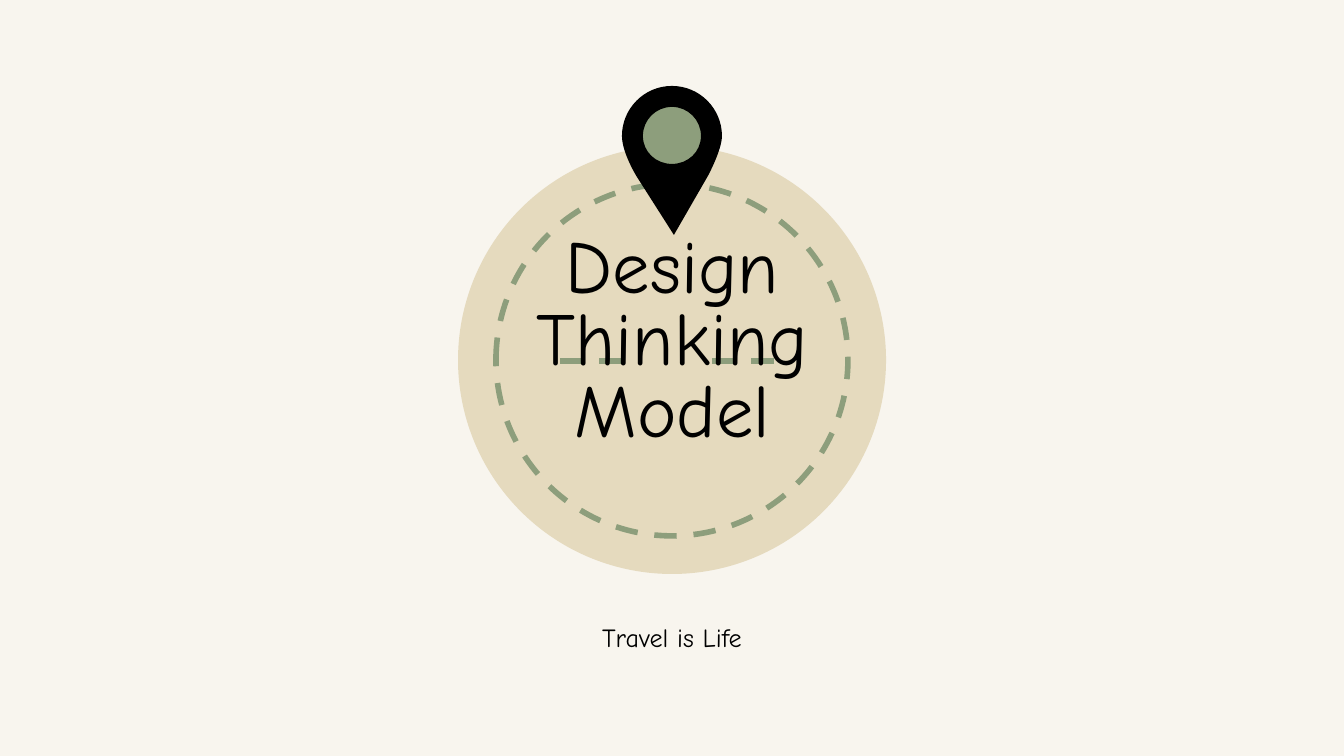
from lxml import etree
from pptx import Presentation
from pptx import util as u
from pptx.dml import color
from pptx.enum import dml, shapes, text
from pptx.oxml import ns

PX = 914400 / 134.4
SAND, SAGE, BLACK = "E5DABE", "8D9E7C", "000000"


def px(*lengths):
    return [u.Emu(round(length * PX)) for length in lengths]


def paint(fill, colour):
    fill.solid()
    fill.fore_color.rgb = color.RGBColor.from_string(colour)


deck = Presentation()
deck.slide_width, deck.slide_height = px(1344, 756)
page = deck.slides.add_slide(deck.slide_layouts[6])

backdrop = page.shapes.add_shape(shapes.MSO_SHAPE.RECTANGLE, *px(0, 0, 1344, 756))
backdrop.shadow.inherit = False
paint(backdrop.fill, SAND)
backdrop.line.fill.background()
tint = backdrop.fill._xPr.find(".//" + ns.qn("a:srgbClr"))
etree.SubElement(tint, ns.qn("a:alpha"), val="26000")

dashed = []
for left, top, size, colour in [(458, 146, 428, SAND), (496, 184, 352, None), (640, 103, 63, SAGE)]:
    circle = page.shapes.add_shape(shapes.MSO_SHAPE.OVAL, *px(left, top, size, size))
    circle.shadow.inherit = False
    if colour:
        paint(circle.fill, colour)
        circle.line.fill.background()
    else:
        circle.fill.background()
        dashed.append(circle)

for left in (560, 712):
    dash = page.shapes.add_connector(shapes.MSO_CONNECTOR.STRAIGHT, *px(left, 361, left + 72, 361))
    etree.SubElement(dash._element.spPr, ns.qn("a:effectLst"))
    dashed.append(dash)

for outline in dashed:
    paint(outline.line.fill, SAGE)
    outline.line.width = u.Pt(3)
    outline.line.dash_style = dml.MSO_LINE.DASH

hole = [
    [(672, 107)],
    [(656, 107), (643, 120), (643, 136)],
    [(643, 152), (656, 164), (672, 164)],
    [(688, 164), (701, 152), (701, 136)],
    [(701, 120), (688, 107), (672, 107)],
]
rim = [
    [(672, 86)],
    [(700, 86), (722, 109), (722, 136)],
    [(722, 150), (708, 176), (708, 176)],
    [(674, 235)],
    [(637, 177)],
    [(637, 177), (622, 153), (622, 136)],
    [(622, 109), (644, 86), (672, 86)],
]
contours = [[px(*point) for segment in contour for point in segment] for contour in (hole, rim)]
builder = page.shapes.build_freeform(*contours[0][0])
builder.add_line_segments(contours[0][1:], close=True)
builder.move_to(*contours[1][0])
builder.add_line_segments(contours[1][1:], close=True)
pin = builder.convert_to_shape()
pin.shadow.inherit = False
paint(pin.fill, BLACK)
pin.line.fill.background()

steps = iter(pin._element.findall(".//" + ns.qn("a:lnTo")))
for segment in hole[1:] + rim[1:]:
    moves = [next(steps) for point in segment]
    if len(moves) == 3:
        curve = etree.Element(ns.qn("a:cubicBezTo"))
        moves[0].addprevious(curve)
        for move in moves:
            curve.append(move[0])
            move.getparent().remove(move)

for wording, place, size, anchor, spacing in [
    ("Design Thinking Model", (520, 227, 305, 238), 40, text.MSO_ANCHOR.BOTTOM, 0.8),
    ("Travel is Life", (522, 608, 300, 87), 14, text.MSO_ANCHOR.TOP, 1.0),
]:
    box = page.shapes.add_textbox(*px(*place))
    frame = box.text_frame
    frame.word_wrap = True
    frame.vertical_anchor = anchor
    frame.margin_left = frame.margin_right = frame.margin_top = frame.margin_bottom = u.Inches(0.1)
    para = frame.paragraphs[0]
    para.text = wording
    para.alignment = text.PP_ALIGN.CENTER
    para.line_spacing = spacing
    para.font.name = "Comic Neue"
    para.font.size = u.Pt(size)
    paint(para.font.fill, BLACK)

deck.save("out.pptx")
